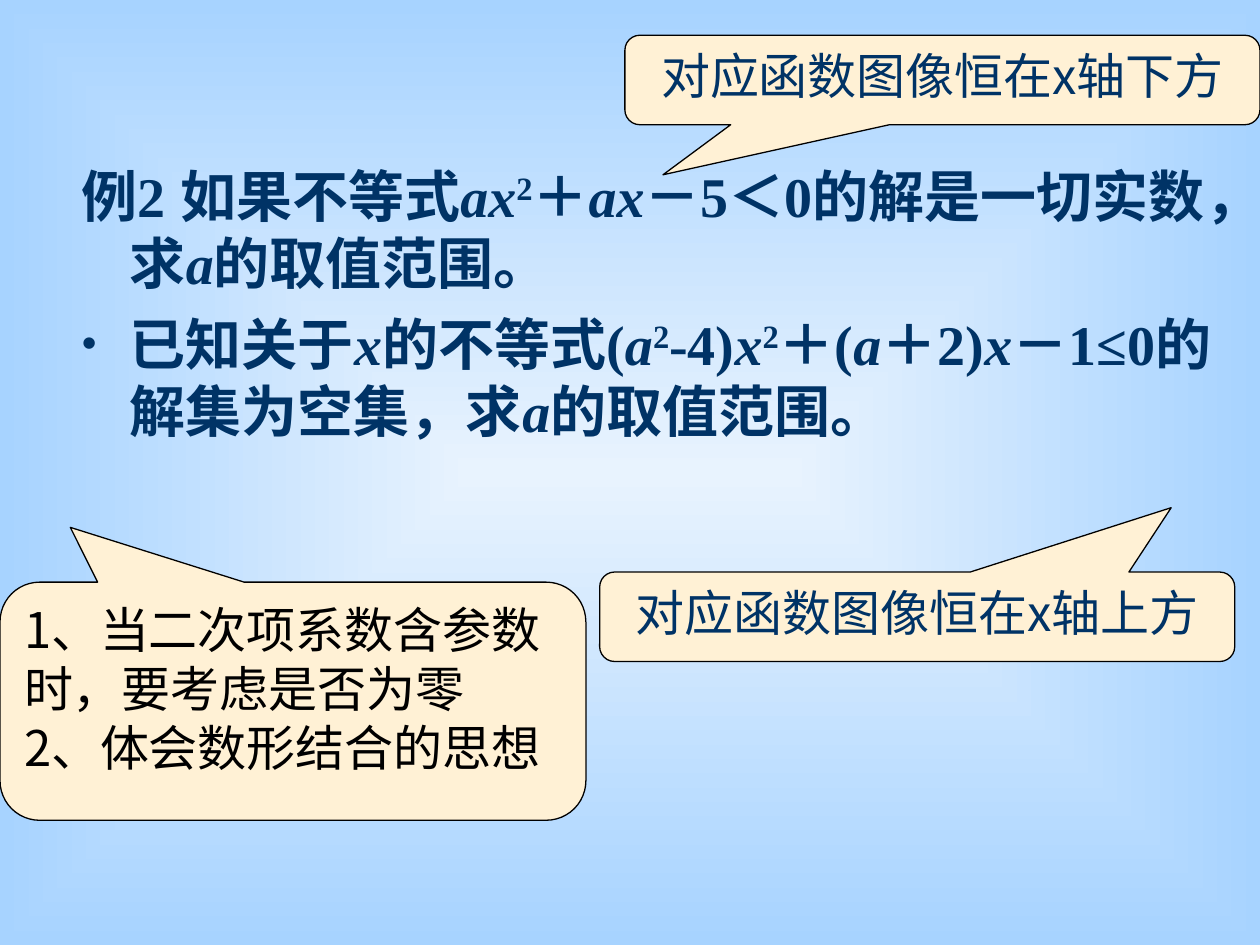
import lxml.etree
import pptx
import pptx.dml.color
import pptx.enum.shapes
import pptx.enum.text
import pptx.oxml.ns
import pptx.util
from dataclasses import dataclass

Inches = pptx.util.Inches
Pt = pptx.util.Pt
RGB = pptx.dml.color.RGBColor.from_string
qn = pptx.oxml.ns.qn
PP_ALIGN = pptx.enum.text.PP_ALIGN


@dataclass(frozen=True)
class Theme:
    bg_center: str = "E8F3FE"
    bg_edge: str = "A7D3FF"
    navy: str = "003366"
    black: str = "000000"
    cream: str = "FFF1D5"
    serif: str = "Times New Roman"
    sans: str = "Noto Sans CJK SC"
    body_size: int = 32
    note_size: int = 28


def add_sub(parent, tag, **attrs):
    return lxml.etree.SubElement(parent, qn(tag), attrs)


def add_run(p, text, *, size, color, font, east_asian, bold=False,
            italic=False, superscript=False):
    r = p.add_run()
    r.text = text
    r.font.size = Pt(size)
    r.font.bold = bold
    r.font.italic = italic
    r.font.color.rgb = RGB(color)
    r.font.name = font
    rPr = r.font._element
    add_sub(rPr, "a:ea", typeface=east_asian)
    if superscript:
        rPr.set("baseline", "30000")
    return r


class SlideBuilder:
    def __init__(self, prs, theme):
        self.theme = theme
        self.slide = prs.slides.add_slide(prs.slide_layouts[1])
        title = self.slide.shapes.title.element
        title.getparent().remove(title)

    def background(self):
        """Rectangular gradient, light in the centre."""
        fill = self.slide.background.fill
        fill.gradient()
        colors = (self.theme.bg_center, self.theme.bg_edge)
        for stop, color, position in zip(fill.gradient_stops, colors, (0, 1)):
            stop.color.rgb = RGB(color)
            stop.position = position
        grad = self.slide.element.find(".//" + qn("a:gradFill"))
        grad.remove(grad.find(qn("a:lin")))
        shade = add_sub(grad, "a:path", path="rect")
        add_sub(shade, "a:fillToRect", l="50000", t="50000",
                r="50000", b="50000")

    def body(self, box, paragraphs):
        """Each paragraph is (has_bullet, [(text, style), ...])."""
        t = self.theme
        sp = self.slide.placeholders[1]
        sp.left, sp.top, sp.width, sp.height = map(Inches, box)
        tf = sp.text_frame
        tf.word_wrap = True
        tf.auto_size = pptx.enum.text.MSO_AUTO_SIZE.NONE
        for i, (has_bullet, runs) in enumerate(paragraphs):
            p = tf.paragraphs[0] if i == 0 else tf.add_paragraph()
            self.bullet(p, has_bullet)
            p.space_before = Pt(8 if i else 0)
            for text, style in runs:
                add_run(p, text, size=t.body_size, color=t.navy,
                        font=t.serif, east_asian=t.sans, bold=True, **style)

    def bullet(self, p, visible):
        pPr = p._p.get_or_add_pPr()
        pPr.set("marL", str(Inches(0.38)))
        pPr.set("indent", str(-Inches(0.38)))
        if not visible:
            add_sub(pPr, "a:buNone")
            return
        add_sub(add_sub(pPr, "a:buClr"), "a:srgbClr", val=self.theme.navy)
        add_sub(pPr, "a:buSzPct", val="75000")
        add_sub(pPr, "a:buChar", char="•")

    def callout(self, box, pointer, lines, color, align):
        t = self.theme
        sp = self.slide.shapes.add_shape(
            pptx.enum.shapes.MSO_SHAPE.ROUNDED_RECTANGULAR_CALLOUT,
            *map(Inches, box))
        sp.shadow.inherit = False
        sp.adjustments[0], sp.adjustments[1] = pointer
        sp.fill.solid()
        sp.fill.fore_color.rgb = RGB(t.cream)
        sp.line.color.rgb = RGB(t.black)
        sp.line.width = Pt(0.75)
        tf = sp.text_frame
        tf.word_wrap = True
        tf.vertical_anchor = pptx.enum.text.MSO_ANCHOR.TOP
        for i, line in enumerate(lines):
            p = tf.paragraphs[0] if i == 0 else tf.add_paragraph()
            p.alignment = align
            add_run(p, line, size=t.note_size, color=color,
                    font=t.sans, east_asian=t.sans)


def main():
    prs = pptx.Presentation()
    prs.slide_width, prs.slide_height = Inches(10), Inches(7.5)
    theme = Theme()
    s = SlideBuilder(prs, theme)
    s.background()

    # Example and follow-up problem
    plain, var, sup = {}, {"italic": True}, {"superscript": True}
    example = [
        ("例2 如果不等式", plain), ("ax", var), ("2", sup), ("＋", plain),
        ("ax", var), ("－5＜0的解是一切实数，求", plain), ("a", var),
        ("的取值范围。", plain),
    ]
    follow_up = [
        ("已知关于", plain), ("x", var), ("的不等式(", plain), ("a", var),
        ("2", sup), ("-4)", plain), ("x", var), ("2", sup), ("＋(", plain),
        ("a", var), ("＋2)", plain), ("x", var),
        ("－1≤0的解集为空集，求", plain), ("a", var), ("的取值范围。", plain),
    ]
    s.body((0.55, 1.23, 9.45, 2.44), [(False, example), (True, follow_up)])

    # Hints about the graph
    hints = [
        (4.96, 0.28, (-0.44, 1.06), "对应函数图像恒在x轴下方"),
        (4.76, 4.54, (0.4, -1.22), "对应函数图像恒在x轴上方"),
    ]
    for left, top, pointer, text in hints:
        s.callout((left, top, 5.04, 0.71), pointer, [text],
                  theme.navy, PP_ALIGN.CENTER)

    # Summary of the method
    s.callout((0, 4.62, 4.65, 1.89), (-0.38, -0.73),
              ["1、当二次项系数含参数时，要考虑是否为零", "2、体会数形结合的思想"],
              theme.black, PP_ALIGN.LEFT)

    prs.save("out.pptx")


if __name__ == "__main__":
    main()
